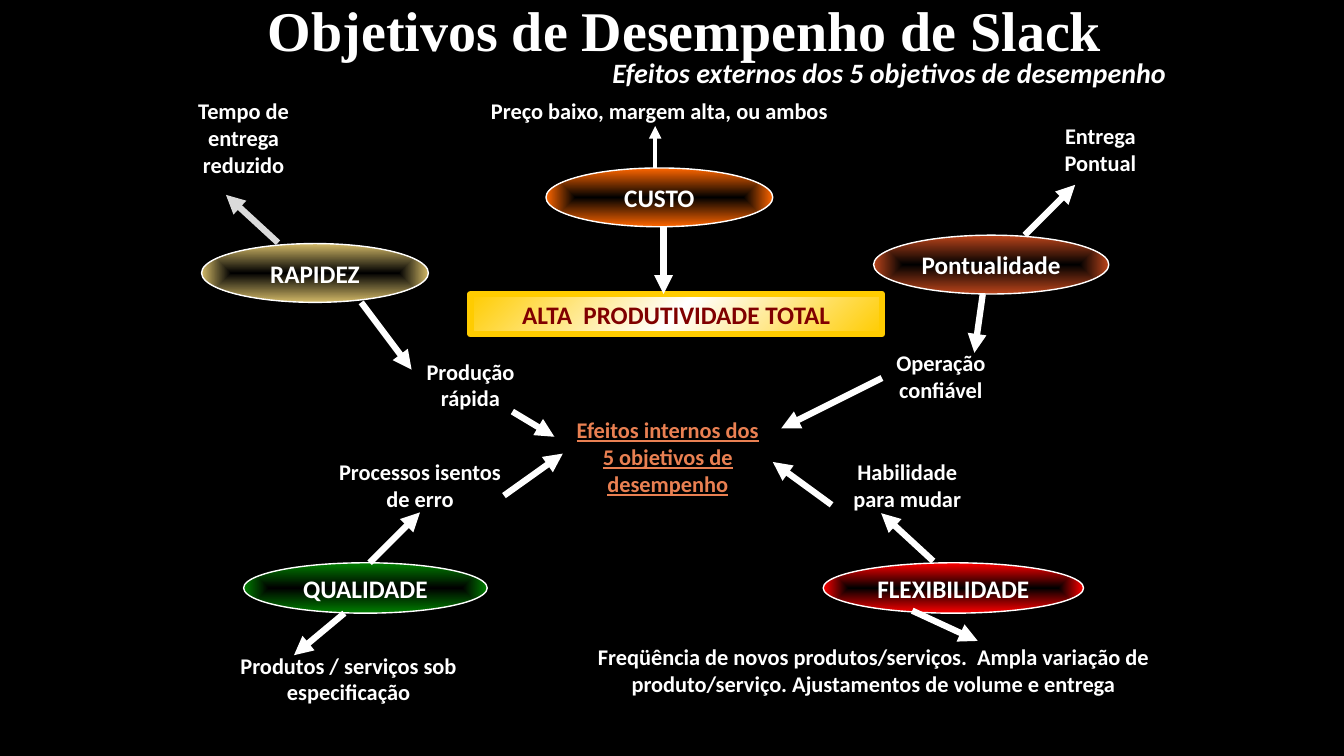
import lxml.etree
import pptx
import pptx.dml.color
import pptx.enum.shapes
import pptx.enum.text
import pptx.oxml
import pptx.oxml.ns
import pptx.util

COLUMNS, ROWS = 160, 90
WHITE, BLACK, GOLD = "FFFFFF", "000000", "FFCC00"
ALIGN = pptx.enum.text.PP_ALIGN
ANCHOR = pptx.enum.text.MSO_ANCHOR
FIT = pptx.enum.text.MSO_AUTO_SIZE
SHAPE = pptx.enum.shapes.MSO_SHAPE
DRAWING = pptx.oxml.ns.nsdecls("a")

deck = pptx.Presentation()
deck.slide_width = pptx.util.Inches(13.33)
deck.slide_height = pptx.util.Inches(7.5)
page = deck.slides.add_slide(deck.slide_layouts[6])
column = deck.slide_width / COLUMNS
row = deck.slide_height / ROWS


def color(value):
    return pptx.dml.color.RGBColor.from_string(value)


def write(shape, words, size, ink=WHITE, align=ALIGN.CENTER, font=None, frame=None):
    for name, value in (frame or {}).items():
        setattr(shape.text_frame, name, value)
    para = shape.text_frame.paragraphs[0]
    para.alignment = align
    span = para.add_run()
    span.text = words
    style = {"name": "Calibri", "size": pptx.util.Pt(size), "bold": True}
    for name, value in (style | (font or {})).items():
        setattr(span.font, name, value)
    span.font.color.rgb = color(ink)


page.background.fill.solid()
page.background.fill.fore_color.rgb = color(BLACK)

flow = {"word_wrap": True, "auto_size": FIT.SHAPE_TO_FIT_TEXT}
middle = {"word_wrap": True, "vertical_anchor": ANCHOR.MIDDLE}
single = {"word_wrap": False, "vertical_anchor": ANCHOR.MIDDLE}

headings = [
    ("Objetivos de Desempenho de Slack", (20, 0, 123, 7), 40, WHITE, ALIGN.CENTER,
     {"name": "Times New Roman"}, middle),
    ("Efeitos externos dos 5 objetivos de desempenho", (43, 6, 97, 5.2), 20, WHITE,
     ALIGN.RIGHT, {"italic": True}, flow),
    ("Efeitos internos dos 5 objetivos de desempenho", (67, 49, 25, 10.8), 16, "E98052",
     ALIGN.CENTER, {"underline": True}, flow),
]
effects = [
    ("Tempo de entrega reduzido", (20, 11, 18, 10.8)),
    ("Preço baixo, margem alta, ou ambos", (53, 11, 51, 4.4)),
    ("Entrega Pontual", (122, 14, 18, 7.7)),
    ("Produção rápida", (47, 42, 18, 7.7)),
    ("Operação confiável", (103, 41, 18, 7.7)),
    ("Processos isentos de erro", (38, 54, 24, 7.7)),
    ("Habilidade para mudar", (99, 54, 18, 7.7)),
    ("Produtos / serviços sob especificação", (20, 77, 43, 7.7)),
    ("Freqüência de novos produtos/serviços.  Ampla variação de produto/serviço. "
     "Ajustamentos de volume e entrega", (68, 76, 72, 7.7)),
]
captions = headings + [
    (words, place, 16, WHITE, ALIGN.CENTER, None, flow) for words, place in effects
]
for words, (left, top, width, height), *look in captions:
    box = page.shapes.add_textbox(
        int(left * column), int(top * row), int(width * column), int(height * row))
    write(box, words, *look)

center_out = ('<a:path path="shape"><a:fillToRect l="50000" t="50000" '
              'r="50000" b="50000"/></a:path>')
diagonal = '<a:lin ang="2700000" scaled="1"/>'
objectives = [
    ("CUSTO", (65, 20, 27, 7), "FF6600"),
    ("RAPIDEZ", (24, 29, 27, 7), "D3BA68"),
    ("Pontualidade", (104, 28, 28, 7), "BC451B"),
    ("QUALIDADE", (29, 67, 29, 6), "008000"),
    ("FLEXIBILIDADE", (98, 67, 31, 6), "FF0000"),
]
panels = [
    (words, place, SHAPE.OVAL, [BLACK, rim], center_out, WHITE, 1, WHITE, single)
    for words, place, rim in objectives
]
panels.append(("ALTA  PRODUTIVIDADE TOTAL", (56, 35, 49, 4.8), SHAPE.RECTANGLE,
               [GOLD, WHITE, GOLD], diagonal, GOLD, 4.5, "800000", flow))
for words, (left, top, width, height), kind, shades, direction, edge, weight, ink, frame in panels:
    panel = page.shapes.add_shape(
        kind, int(left * column), int(top * row), int(width * column), int(height * row))
    panel.shadow.inherit = False
    stops = "".join(
        f'<a:gs pos="{100000 * place // (len(shades) - 1)}"><a:srgbClr val="{shade}"/></a:gs>'
        for place, shade in enumerate(shades))
    gradient = pptx.oxml.parse_xml(
        f'<a:gradFill {DRAWING} rotWithShape="1"><a:gsLst>{stops}</a:gsLst>{direction}</a:gradFill>')
    panel.element.spPr.find(pptx.oxml.ns.qn("a:prstGeom")).addnext(gradient)
    panel.line.color.rgb = color(edge)
    panel.line.width = pptx.util.Pt(weight)
    write(panel, words, 18, ink, frame=frame)

arrows = [
    ((41, 73), (35, 78), WHITE, 4.5),
    ((44, 67), (50, 61), WHITE, 4.5),
    ((60, 59), (67, 54), WHITE, 4.5),
    ((108.6, 72.7), (116.4, 76.3), WHITE, 4.5),
    ((111.1, 66.8), (104.9, 61.1), WHITE, 4.5),
    ((99, 60.1), (92, 55), WHITE, 4.5),
    ((33.1, 28.9), (26.9, 23.2), "DADADA", 4.5),
    ((122, 28), (128, 22), WHITE, 4.5),
    ((79, 27), (79, 35), WHITE, 4.5),
    ((78, 20), (78, 15), WHITE, 3),
    ((43, 36), (49, 44), WHITE, 4.5),
    ((61, 49), (66, 52), WHITE, 4.5),
    ((117, 35), (116, 42), WHITE, 4.5),
    ((105, 45), (93, 51), WHITE, 4.5),
]
for (start_x, start_y), (end_x, end_y), shade, weight in arrows:
    arrow = page.shapes.add_connector(
        pptx.enum.shapes.MSO_CONNECTOR.STRAIGHT,
        int(start_x * column), int(start_y * row), int(end_x * column), int(end_y * row))
    arrow.line.color.rgb = color(shade)
    arrow.line.width = pptx.util.Pt(weight)
    outline = arrow.line._get_or_add_ln()
    lxml.etree.SubElement(outline, pptx.oxml.ns.qn("a:tailEnd"), type="triangle")
    lxml.etree.SubElement(arrow.element.spPr, pptx.oxml.ns.qn("a:effectLst"))

deck.save("out.pptx")
